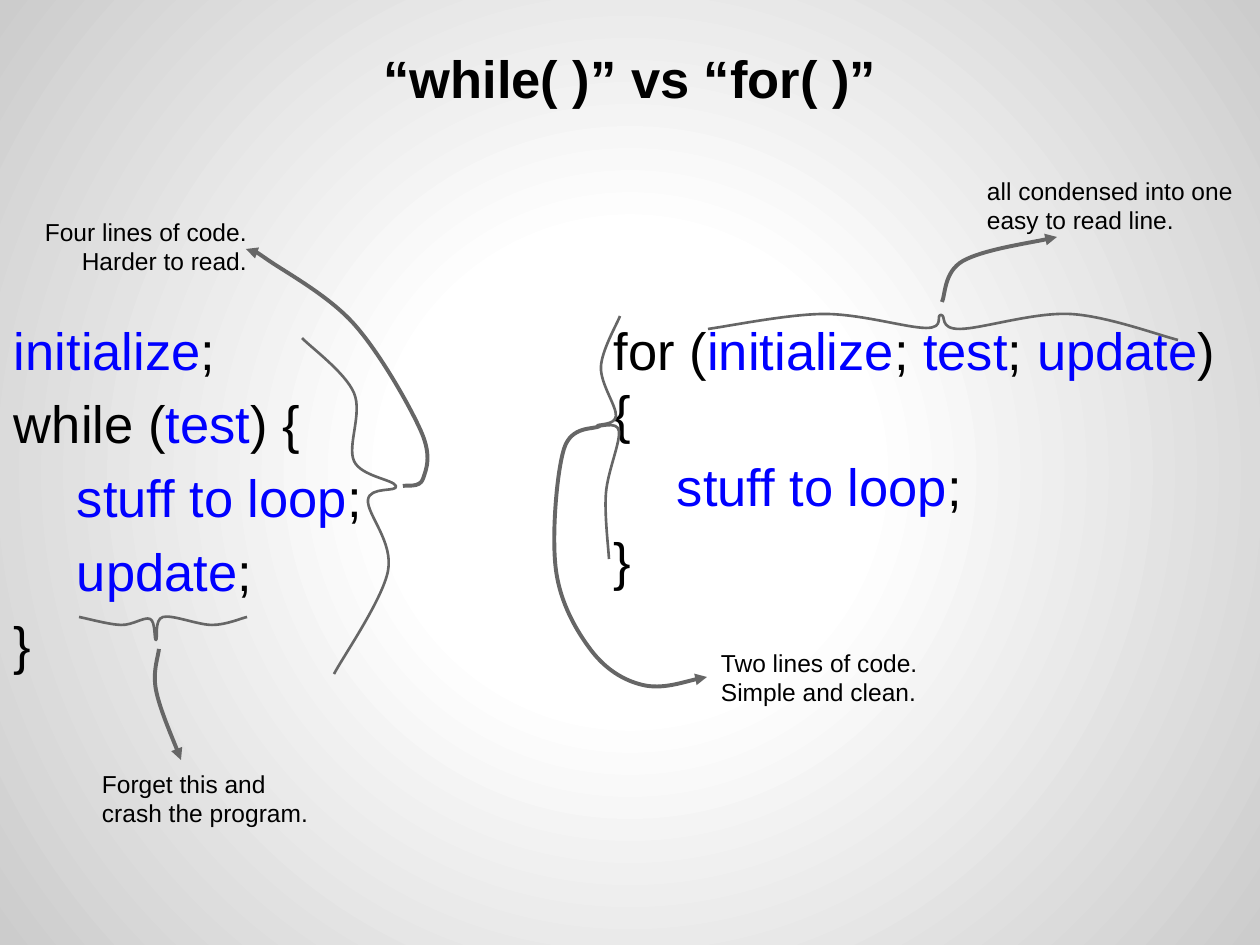
from dataclasses import dataclass

from lxml import etree
from pptx import Presentation
from pptx.dml.color import RGBColor
from pptx.enum.text import MSO_ANCHOR, MSO_AUTO_SIZE, PP_ALIGN
from pptx.oxml.ns import qn
from pptx.util import Emu, Pt

LEFT, CENTER, RIGHT = PP_ALIGN.LEFT, PP_ALIGN.CENTER, PP_ALIGN.RIGHT
TOP, BOTTOM = MSO_ANCHOR.TOP, MSO_ANCHOR.BOTTOM
NO_AUTOFIT = MSO_AUTO_SIZE.NONE
PX_PER_INCH = 126
INSET = 13
INDENT = 63
TWO_CONTENT_LAYOUT = 3


@dataclass(frozen=True)
class Theme:
    font: str = "Arial"
    text: RGBColor = RGBColor(0, 0, 0)
    keyword: RGBColor = RGBColor(0, 0, 255)
    line: RGBColor = RGBColor(0x66, 0x66, 0x66)
    glow: tuple = ((0, "FFFFFF"), (30, "FFFFFF"), (100, "CCCCCC"))
    code_size: int = 30
    note_size: int = 14
    brace_width: float = 1.5
    arrow_width: float = 2.25


@dataclass(frozen=True)
class TextBlock:
    """Lines of text; every second part between bars is a keyword, a tab indents."""
    bounds: tuple
    lines: tuple
    size: int
    align: PP_ALIGN = LEFT
    anchor: MSO_ANCHOR = TOP
    bold: bool = False
    space_before: int = 0


@dataclass(frozen=True)
class Curve:
    knots: tuple
    arrow: bool = False


THEME = Theme()

TITLE = TextBlock((63, 38, 1134, 84), ("“while( )” vs “for( )”",),
                  THEME.code_size, CENTER, BOTTOM, bold=True)

CODE = (
    TextBlock((1, 305, 479, 249),
              ("|initialize|;", "while (|test|) {", "\t|stuff to loop|;",
               "\t|update|;", "}"), THEME.code_size, space_before=6),
    TextBlock((601, 305, 657, 249),
              ("for (|initialize|;| test|;| update|) {",
               "\t|stuff to loop|;", "}"), THEME.code_size, space_before=6),
)

NOTES = (
    TextBlock((26, 204, 234, 63), ("Four lines of code.", "Harder to read."),
              THEME.note_size, RIGHT),
    TextBlock((89, 756, 251, 63), ("Forget this and crash the program.",),
              THEME.note_size),
    TextBlock((708, 635, 504, 63), ("Two lines of code.", "Simple and clean."),
              THEME.note_size),
    TextBlock((974, 163, 300, 63), ("all condensed into one easy to read line.",),
              THEME.note_size),
)

CURVES = (
    # while loop: brace and arrow to its note
    Curve(((302, 338), (354, 393), (354, 461), (396, 486), (368, 500),
           (388, 571), (334, 674))),
    Curve(((403, 486), (423, 479), (421, 431), (354, 324), (268, 260),
           (246, 249)), arrow=True),
    # update line
    Curve(((79, 617), (121, 625), (150, 619), (156, 640), (163, 617),
           (212, 625), (247, 617))),
    Curve(((159, 649), (156, 690), (181, 760)), arrow=True),
    # for loop
    Curve(((620, 316), (601, 367), (616, 416), (597, 426), (619, 431),
           (606, 493), (609, 559))),
    Curve(((600, 426), (564, 449), (556, 570), (591, 650), (643, 685),
           (707, 677)), arrow=True),
    # for header
    Curve(((708, 329), (824, 314), (926, 328), (941, 315), (960, 329),
           (1070, 314), (1178, 340))),
    Curve(((942, 302), (963, 261), (1057, 237)), arrow=True),
)


def px(length: int) -> Emu:
    return Emu(round(length * 914400 / PX_PER_INCH))


def set_all(target, values: dict) -> None:
    for name, value in values.items():
        setattr(target, name, value)


def add_xml(parent, tag: str, **attributes):
    return etree.SubElement(parent, qn(tag), attributes)


def write_text(box, block: TextBlock) -> None:
    left, top, width, height = map(px, block.bounds)
    set_all(box, dict(left=left, top=top, width=width, height=height))
    frame = box.text_frame
    set_all(frame, dict(word_wrap=True, auto_size=NO_AUTOFIT,
                        vertical_anchor=block.anchor))
    set_all(frame, {f"margin_{side}": px(INSET)
                    for side in ("left", "top", "right", "bottom")})
    for number, line in enumerate(block.lines):
        para = frame.add_paragraph() if number else frame.paragraphs[0]
        set_all(para, dict(alignment=block.align,
                           space_before=Pt(block.space_before)))
        properties = para._p.get_or_add_pPr()
        properties.set("marL", "0")
        properties.set("indent", str(px(INDENT) if line.startswith("\t") else 0))
        add_xml(properties, "a:buNone")
        for position, part in enumerate(line.strip("\t").split("|")):
            if part:
                span = para.add_run()
                span.text = part
                set_all(span.font, dict(name=THEME.font, size=Pt(block.size),
                                        bold=block.bold))
                span.font.color.rgb = THEME.keyword if position % 2 else THEME.text


def smooth_path(shape) -> None:
    """Turn straight segments into a spline: each tangent follows the neighbours."""
    path = shape._element.find(".//" + qn("a:path"))
    knots = [(int(point.get("x")), int(point.get("y")))
             for point in path.iter(qn("a:pt"))]
    padded = [knots[0], *knots, knots[-1]]
    for segment, before, start, end, after in zip(
            path.findall(qn("a:lnTo")), padded, padded[1:], padded[2:], padded[3:]):
        first = [s + (e - b) / 6 for b, s, e in zip(before, start, end)]
        second = [e - (a - s) / 6 for s, e, a in zip(start, end, after)]
        bezier = etree.Element(qn("a:cubicBezTo"))
        for x, y in (first, second, end):
            add_xml(bezier, "a:pt", x=str(round(x)), y=str(round(y)))
        path.replace(segment, bezier)


def draw_curve(page, curve: Curve) -> None:
    points = [(px(x), px(y)) for x, y in curve.knots]
    builder = page.shapes.build_freeform(*points[0])
    builder.add_line_segments(points[1:], close=False)
    shape = builder.convert_to_shape()
    smooth_path(shape)
    shape.shadow.inherit = False
    shape.fill.background()
    shape.line.color.rgb = THEME.line
    shape.line.width = Pt(THEME.arrow_width if curve.arrow else THEME.brace_width)
    if curve.arrow:
        add_xml(shape.line._get_or_add_ln(), "a:tailEnd", type="triangle")


def paint_background(page) -> None:
    page.background.fill.gradient()
    gradient = page._element.find(".//" + qn("a:gradFill"))
    for child in list(gradient):
        gradient.remove(child)
    stops = add_xml(gradient, "a:gsLst")
    for percent, color in THEME.glow:
        stop = add_xml(stops, "a:gs", pos=str(percent * 1000))
        add_xml(stop, "a:srgbClr", val=color)
    circle = add_xml(gradient, "a:path", path="circle")
    add_xml(circle, "a:fillToRect", l="50000", t="50000", r="50000", b="50000")


def main() -> None:
    deck = Presentation()
    set_all(deck, dict(slide_width=px(1260), slide_height=px(945)))
    page = deck.slides.add_slide(deck.slide_layouts[TWO_CONTENT_LAYOUT])
    paint_background(page)
    # Title and the two code listings
    for box, block in zip(page.placeholders, (TITLE, *CODE)):
        write_text(box, block)
    # Braces, arrows and their notes
    for curve in CURVES:
        draw_curve(page, curve)
    for note in NOTES:
        write_text(page.shapes.add_textbox(0, 0, 0, 0), note)
    deck.save("out.pptx")


if __name__ == "__main__":
    main()
